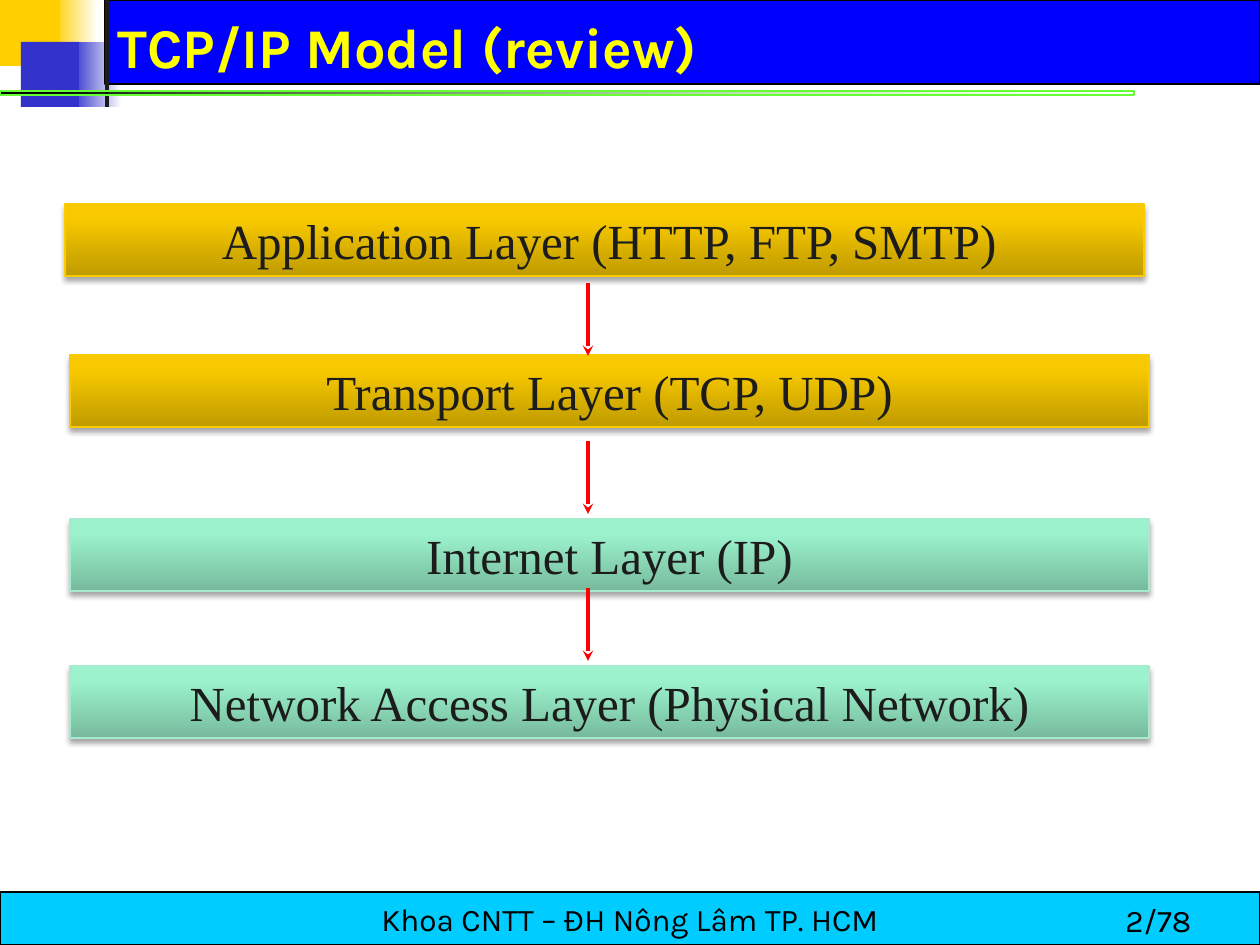
import pptx
import pptx.util
import pptx.dml.color
import pptx.enum.shapes
import pptx.enum.text
import pptx.oxml
import pptx.oxml.ns
from dataclasses import dataclass

EMU_PER_PIXEL = 914400 // 126
ALIGN = pptx.enum.text.PP_ALIGN
ANCHOR = pptx.enum.text.MSO_ANCHOR
NAMESPACE = pptx.oxml.ns.nsdecls("a")


@dataclass(frozen=True)
class Theme:
    heading_font: str = "Karla"
    body_font: str = "Times New Roman"
    title_size: int = 32
    layer_size: int = 28
    footer_size: int = 18
    white: str = "FFFFFF"
    black: str = "000000"
    ink: str = "1C1C1C"
    banner: str = "0000FF"
    title: str = "FFFF00"
    gold: str = "FFCF01"
    indigo: str = "3333CC"
    green: str = "66FF33"
    footer: str = "00CCFF"
    arrow: str = "FF0000"
    # Layer palettes: gradient from bottom to top, then outline
    amber: tuple = ("BF9B00", "F8C900", "F9CA00", "FACB00")
    mint: tuple = ("77BA9D", "9BF2CC", "9AF4CD", "A5EBCD")


THEME = Theme()


def px(value):
    return pptx.util.Emu(value * EMU_PER_PIXEL)


def rgb(code):
    return pptx.dml.color.RGBColor.from_string(code)


def set_gradient(shape, stops, angle=0):
    """Each stop is (percent, colour, opacity percent)."""
    marks = "".join(
        f'<a:gs pos="{position * 1000}"><a:srgbClr val="{color}">'
        f'<a:alpha val="{opacity * 1000}"/></a:srgbClr></a:gs>'
        for position, color, opacity in stops)
    shape.fill.background()
    properties = shape._element.spPr
    blank_fill = properties.find(pptx.oxml.ns.qn("a:noFill"))
    properties.replace(blank_fill, pptx.oxml.parse_xml(
        f'<a:gradFill {NAMESPACE}><a:gsLst>{marks}</a:gsLst>'
        f'<a:lin ang="{angle * 60000}" scaled="0"/></a:gradFill>'))


def add_shadow(shape):
    effects = shape._element.spPr.find(pptx.oxml.ns.qn("a:effectLst"))
    effects.append(pptx.oxml.parse_xml(
        f'<a:outerShdw {NAMESPACE} blurRad="39370" dist="22860" dir="5400000" '
        'rotWithShape="0"><a:srgbClr val="000000"><a:alpha val="35000"/>'
        '</a:srgbClr></a:outerShdw>'))


def add_box(slide, bounds, fill=None, line=None, width=0.75):
    shape = slide.shapes.add_shape(
        pptx.enum.shapes.MSO_SHAPE.RECTANGLE, *map(px, bounds))
    shape.shadow.inherit = False
    if fill:
        shape.fill.solid()
        shape.fill.fore_color.rgb = rgb(fill)
    if line:
        shape.line.color.rgb = rgb(line)
        shape.line.width = pptx.util.Pt(width)
    else:
        shape.line.fill.background()
    return shape


def write(shape, text, font, size, color, align=ALIGN.LEFT, anchor=ANCHOR.MIDDLE, bold=False):
    frame = shape.text_frame
    frame.word_wrap = True
    frame.vertical_anchor = anchor
    frame.text = text
    paragraph = frame.paragraphs[0]
    paragraph.alignment = align
    for run in paragraph.runs:
        run.font.name = font
        run.font.size = pptx.util.Pt(size)
        run.font.bold = bold
        run.font.color.rgb = rgb(color)


def add_text(slide, bounds, *args, **options):
    write(slide.shapes.add_textbox(*map(px, bounds)), *args, **options)


def add_layer(slide, left, top, text, palette):
    dark, middle, light, outline = palette
    shape = add_box(slide, (left, top, 1079, 72), line=outline)
    set_gradient(shape, [(0, dark, 100), (80, middle, 100), (100, light, 100)], 270)
    add_shadow(shape)
    write(shape, text, THEME.body_font, THEME.layer_size, THEME.ink,
          ALIGN.CENTER, ANCHOR.TOP)


def add_arrow(slide, top):
    x, length = 588, 73
    arrow = slide.shapes.add_connector(
        pptx.enum.shapes.MSO_CONNECTOR.STRAIGHT,
        px(x), px(top), px(x), px(top + length))
    arrow.line.color.rgb = rgb(THEME.arrow)
    arrow.line.width = pptx.util.Pt(2)
    properties = arrow._element.spPr
    outline = properties.find(pptx.oxml.ns.qn("a:ln"))
    outline.append(pptx.oxml.parse_xml(f'<a:tailEnd {NAMESPACE} type="stealth"/>'))
    properties.append(pptx.oxml.parse_xml(f"<a:effectLst {NAMESPACE}/>"))


def add_header(slide):
    # Fading squares sit behind the banner
    for bounds, color in (((53, 0, 45, 66), THEME.gold), ((72, 42, 50, 65), THEME.indigo)):
        set_gradient(add_box(slide, bounds), [(0, color, 100), (100, THEME.white, 100)])
    add_box(slide, (105, 0, 1155, 84), THEME.banner, THEME.black)
    add_box(slide, (0, 0, 60, 66), THEME.gold)
    add_box(slide, (21, 42, 58, 65), THEME.indigo)
    add_box(slide, (105, 0, 4, 107), THEME.ink)
    rule = add_box(slide, (0, 91, 1134, 4), line=THEME.green, width=0)
    set_gradient(rule, [(0, THEME.black, 100), (100, THEME.green, 0)])
    add_text(slide, (105, 10, 1126, 73), "TCP/IP Model (review)", THEME.heading_font,
             THEME.title_size, THEME.title, bold=True)


def add_footer(slide):
    style = (THEME.heading_font, THEME.footer_size, THEME.black)
    bar = add_box(slide, (0, 892, 1260, 53), THEME.footer, THEME.black)
    write(bar, "Khoa CNTT – ĐH Nông Lâm TP. HCM", *style, align=ALIGN.CENTER)
    add_text(slide, (1113, 895, 147, 50), "2/78", *style, anchor=ANCHOR.TOP)


def main():
    presentation = pptx.Presentation()
    presentation.slide_width = px(1260)
    presentation.slide_height = px(945)
    slide = presentation.slides.add_slide(presentation.slide_layouts[6])
    add_header(slide)
    add_footer(slide)

    # Protocol stack
    layers = (
        (65, 204, " Application Layer (HTTP, FTP, SMTP)", THEME.amber),
        (70, 355, "Transport Layer (TCP, UDP)", THEME.amber),
        (70, 519, "Internet Layer (IP)", THEME.mint),
        (70, 666, "Network Access Layer (Physical Network)", THEME.mint),
    )
    for layer in layers:
        add_layer(slide, *layer)
    for top in (283, 441, 588):
        add_arrow(slide, top)

    presentation.save("out.pptx")


main()
